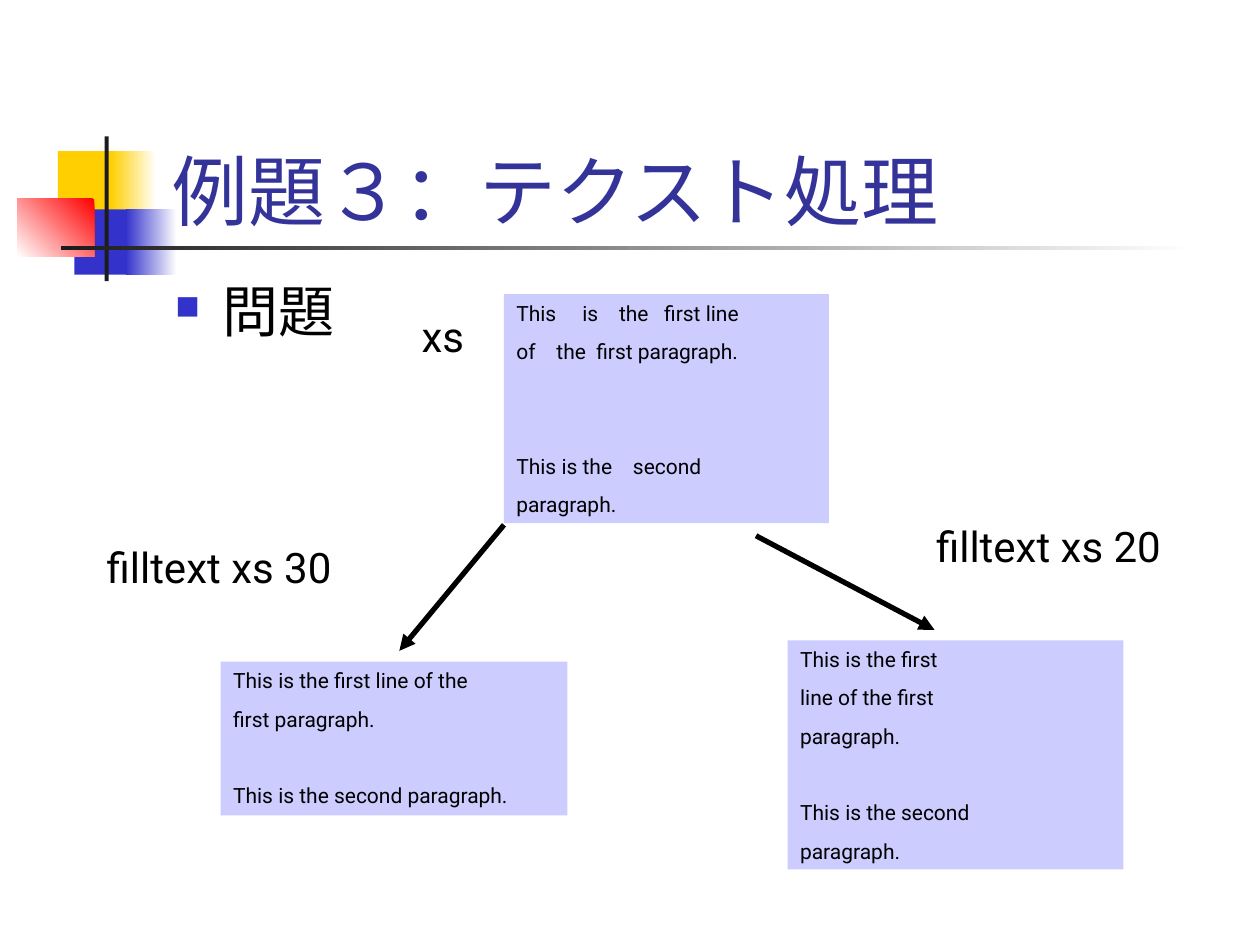
import pptx
import pptx.dml.color
import pptx.enum.shapes
import pptx.enum.text
import pptx.oxml
import pptx.oxml.ns
import pptx.util
from pptx.util import Cm, Pt

FONT = "Roboto"
BLACK, WHITE = "000000", "FFFFFF"
YELLOW, BLUE, RED, DARK = "FFCF01", "3333CC", "FF0000", "1C1C1C"
PALE_BLUE, TITLE_BLUE = "CCCCFF", "333399"
BLANK_LINE = 21.9


def rgb(value):
    return pptx.dml.color.RGBColor.from_string(value)


def add_xml(parent, tag, content="", **attrs):
    pairs = " ".join(f'{k}="{v}"' for k, v in attrs.items())
    ns = pptx.oxml.ns.nsdecls("a")
    parent.append(pptx.oxml.parse_xml(f"<a:{tag} {ns} {pairs}>{content}</a:{tag}>"))


def add_rect(slide, box, color):
    sp = slide.shapes.add_shape(
        pptx.enum.shapes.MSO_SHAPE.RECTANGLE, *[Cm(v) for v in box])
    sp.shadow.inherit = False
    sp.line.fill.background()
    sp.fill.solid()
    sp.fill.fore_color.rgb = rgb(color)
    return sp


def add_fade(slide, box, start, end, angle=180):
    fill = add_rect(slide, box, start).fill
    fill.gradient()
    fill.gradient_angle = angle
    for stop, color, position in zip(fill.gradient_stops, (start, end), (0, 1)):
        stop.color.rgb = rgb(color)
        stop.position = position


def add_run(p, text, size, color=BLACK):
    r = p.add_run()
    r.text = text
    r.font.size = Pt(size)
    r.font.name = FONT
    r.font.color.rgb = rgb(color)


def add_text(slide, box, text, size, color=BLACK):
    tf = slide.shapes.add_textbox(*[Cm(v) for v in box]).text_frame
    tf.word_wrap = True
    add_run(tf.paragraphs[0], text, size, color)
    return tf


def add_bullet(slide, box, text):
    p = add_text(slide, box, text, 32).paragraphs[0]
    p.line_spacing = 0.9
    p.space_before = Pt(8)
    pPr = p._p.get_or_add_pPr()
    pPr.set("marL", str(Cm(0.95)))
    pPr.set("indent", str(Cm(-0.95)))
    add_xml(pPr, "buClr", f'<a:srgbClr val="{BLUE}"/>')
    add_xml(pPr, "buSzPct", val=60000)
    add_xml(pPr, "buChar", char="■")


def add_passage(slide, box, lines):
    tf = add_rect(slide, box, PALE_BLUE).text_frame
    tf.word_wrap = True
    tf.vertical_anchor = pptx.enum.text.MSO_ANCHOR.TOP
    for i, (text, blanks_above) in enumerate(lines):
        p = tf.add_paragraph() if i else tf.paragraphs[0]
        p.alignment = pptx.enum.text.PP_ALIGN.LEFT
        p.space_before = Pt(7.5 + blanks_above * BLANK_LINE)
        add_run(p, text, 12)


def add_arrow(slide, start, end):
    line = slide.shapes.add_connector(
        pptx.enum.shapes.MSO_CONNECTOR.STRAIGHT, *[Cm(v) for v in start + end])
    line.line.color.rgb = rgb(BLACK)
    line.line.width = Pt(3)
    add_xml(line.line._get_or_add_ln(), "tailEnd", type="triangle")
    add_xml(line._element.spPr, "effectLst")


def add_decoration(slide):
    add_rect(slide, (1.17, 3.05, 1.22, 1.32), YELLOW)
    add_fade(slide, (2.24, 3.05, 0.91, 1.32), WHITE, YELLOW)
    add_rect(slide, (1.5, 4.22, 1.17, 1.32), BLUE)
    add_fade(slide, (2.54, 4.22, 1.02, 1.32), WHITE, BLUE)
    add_fade(slide, (0.35, 4.01, 1.55, 1.17), RED, WHITE, 225)
    add_rect(slide, (2.11, 2.75, 0.08, 2.92), DARK)
    add_fade(slide, (1.23, 4.95, 22.86, 0.09), WHITE, DARK)


def main():
    prs = pptx.Presentation()
    prs.slide_width, prs.slide_height = Cm(25.4), Cm(19.05)
    slide = prs.slides.add_slide(prs.slide_layouts[6])

    add_decoration(slide)
    title = add_text(slide, (3.2, 1.7, 21.64, 3.18), "例題３：テクスト処理", 44, TITLE_BLUE)
    title.vertical_anchor = pptx.enum.text.MSO_ANCHOR.BOTTOM
    add_bullet(slide, (3.28, 5.61, 21.26, 1.6), "問題")

    add_passage(slide, (10.16, 5.93, 6.55, 4.62), [
        ("This     is    the   first line", 0),
        ("of    the  first paragraph.", 0),
        ("This is the    second", 2),
        ("paragraph.", 0)])
    add_passage(slide, (4.45, 13.34, 6.99, 3.1), [
        ("This is the first line of the", 0),
        ("first paragraph.", 0),
        ("This is the second paragraph.", 1)])
    add_passage(slide, (15.88, 12.91, 6.77, 4.62), [
        ("This is the first", 0),
        ("line of the first", 0),
        ("paragraph.", 0),
        ("This is the second", 1),
        ("paragraph.", 0)])

    add_text(slide, (1.9, 10.8, 5.72, 1.27), "filltext xs 30", 24)
    add_text(slide, (18.62, 10.37, 5.72, 1.27), "filltext xs 20", 24)
    add_text(slide, (8.25, 6.14, 1.48, 1.27), "xs", 24)

    add_arrow(slide, (10.16, 10.58), (8.05, 13.12))
    add_arrow(slide, (15.24, 10.8), (18.84, 12.7))

    prs.save("out.pptx")


if __name__ == "__main__":
    main()
